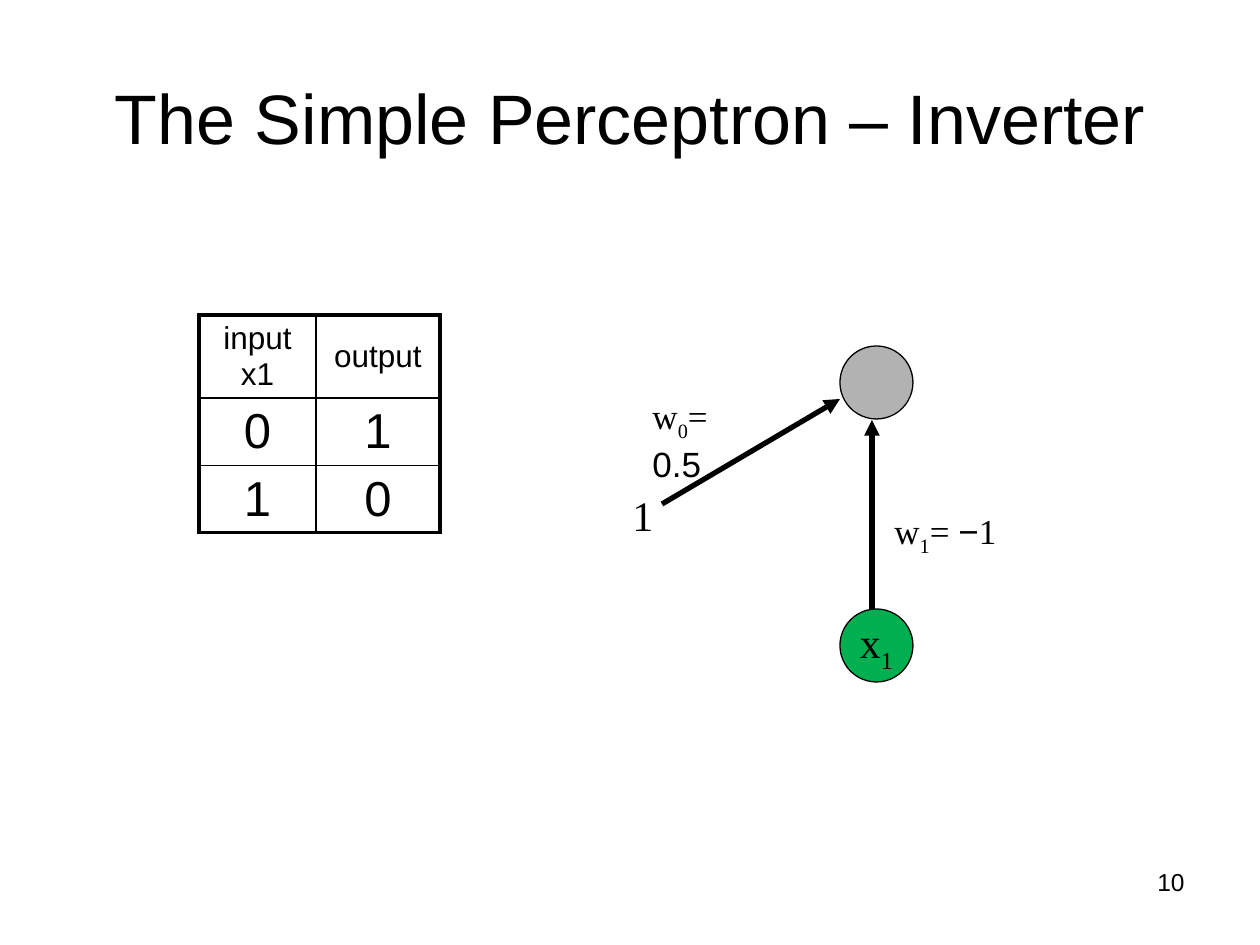
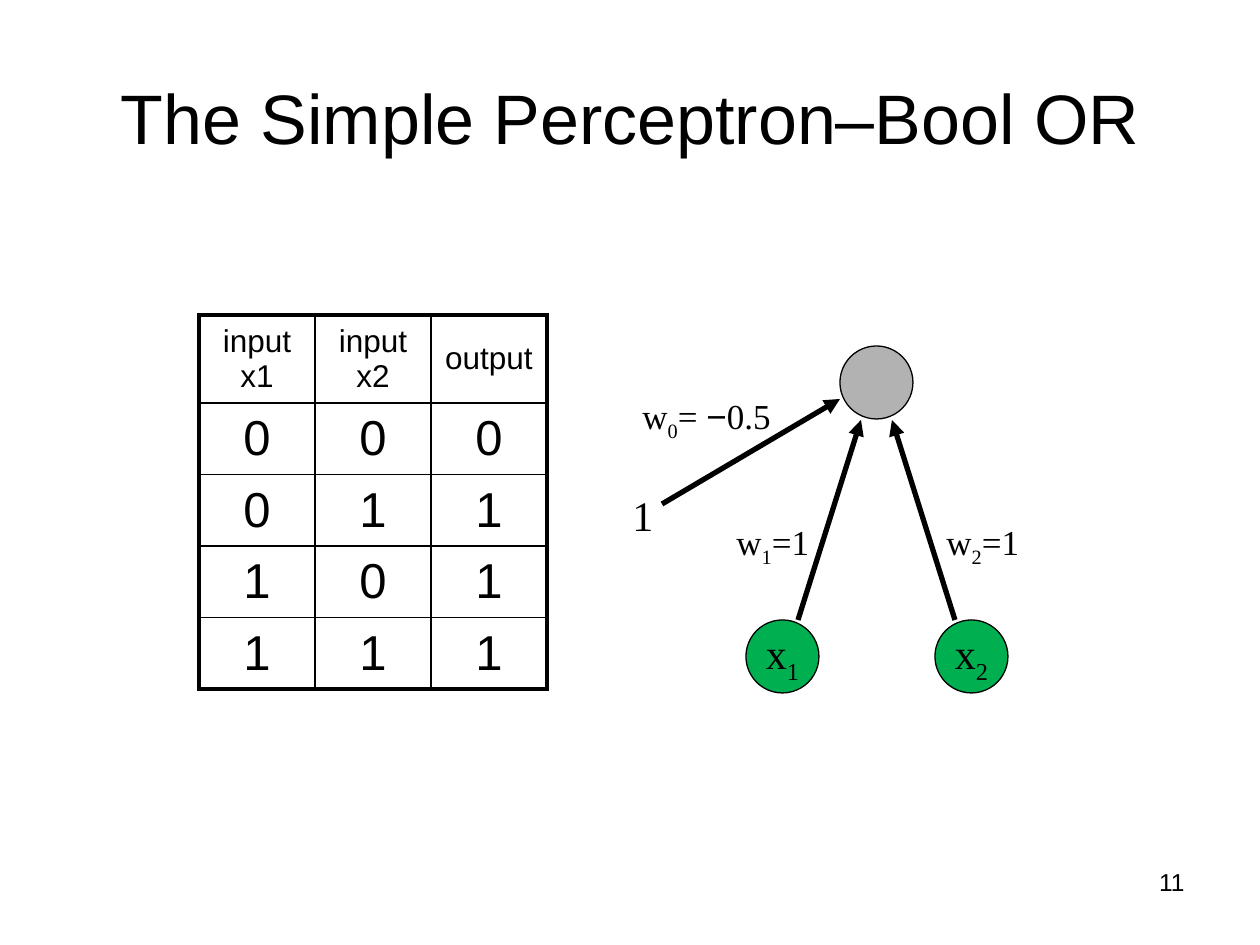
from lxml import etree
from pptx import Presentation
from pptx.dml.color import RGBColor
from pptx.enum.shapes import MSO_CONNECTOR, MSO_SHAPE
from pptx.enum.text import MSO_ANCHOR, MSO_AUTO_SIZE, PP_ALIGN
from pptx.oxml import parse_xml
from pptx.oxml.ns import nsdecls, qn
from pptx.util import Emu, Pt

PIXEL = 914400 / 126
BLACK = RGBColor(0, 0, 0)
WHITE = RGBColor(255, 255, 255)
GRAY = RGBColor(0xB2, 0xB2, 0xB2)
GREEN = RGBColor(0, 0xB0, 0x50)
LEFT, CENTER, RIGHT = PP_ALIGN.LEFT, PP_ALIGN.CENTER, PP_ALIGN.RIGHT
MIDDLE = MSO_ANCHOR.MIDDLE
OVAL = MSO_SHAPE.OVAL
STRAIGHT = MSO_CONNECTOR.STRAIGHT
NO_AUTOFIT = MSO_AUTO_SIZE.NONE
SANS, SERIF, SUB = "Arial", "Times New Roman", "subscript"
TITLE_ONLY = 5
DIAMETER = 73
OUTER_BORDER, INNER_BORDER = Pt(2.25), Pt(1)


def px(*lengths):
    return [Emu(round(length * PIXEL)) for length in lengths]


def write(frame, runs, size, alignment=LEFT):
    paragraph = frame.paragraphs[0]
    paragraph.alignment = alignment
    for text, style in runs:
        run = paragraph.add_run()
        run.text = text
        run.font.color.rgb = BLACK
        font_format = {"name": SERIF if style == SUB else style, "size": Pt(size), "bold": False}
        for name, value in font_format.items():
            setattr(run.font, name, value)
        if style == SUB:
            run._r.get_or_add_rPr().set("baseline", "-25000")


BIAS_INPUT = {"box": (620, 483, 47, 63), "size": 24, "runs": [("1", SERIF)]}
BIAS_ARROW = (662, 504, 840, 399)
OUTPUT_NODE = (840, 346, GRAY, None)

SLIDES = [
    {
        "title": "The Simple Perceptron – Inverter",
        "number": "10",
        "columns": [117, 124],
        "rows": [83, 67, 67],
        "table": [["input x1", "output"], "01", "10"],
        "nodes": [OUTPUT_NODE, (840, 609, GREEN, "1")],
        "arrows": [BIAS_ARROW, (872, 609, 872, 420)],
        "labels": [
            BIAS_INPUT,
            {"box": (882, 503, 127, 54), "size": 20,
             "runs": [("w", SERIF), ("1", SUB), ("= ", SERIF), ("−", SANS), ("1", SERIF)]},
            {"box": (640, 388, 134, 54), "size": 20, "wrap": True,
             "runs": [("w", SERIF), ("0", SUB), ("= ", SERIF), ("0.5", SANS)]},
        ],
    },
    {
        "title": "The Simple Perceptron–Bool OR",
        "number": "11",
        "columns": [116] * 3,
        "rows": [88] + [71.5] * 4,
        "table": [["input x1", "input x2", "output"], "000", "011", "101", "111"],
        "nodes": [OUTPUT_NODE, (746, 620, GREEN, "1"), (935, 620, GREEN, "2")],
        "arrows": [BIAS_ARROW, (798, 620, 861, 420), (955, 620, 892, 420)],
        "labels": [
            BIAS_INPUT,
            {"box": (724, 514, 100, 54), "size": 20,
             "runs": [("w", SERIF), ("1", SUB), ("=1", SERIF)]},
            {"box": (934, 514, 100, 54), "size": 20,
             "runs": [("w", SERIF), ("2", SUB), ("=1", SERIF)]},
            {"box": (630, 388, 154, 54), "size": 20,
             "runs": [("w", SERIF), ("0", SUB), ("= ", SERIF), ("−", SANS), ("0.5", SERIF)]},
        ],
    },
]

presentation = Presentation()
presentation.slide_width, presentation.slide_height = px(1260, 945)

for content in SLIDES:
    slide = presentation.slides.add_slide(presentation.slide_layouts[TITLE_ONLY])
    title = slide.shapes.title
    title.left, title.top, title.width, title.height = px(63, 38, 1134, 158)
    title.text_frame.auto_size = NO_AUTOFIT
    title.text_frame.vertical_anchor = MIDDLE
    write(title.text_frame, [(content["title"], SANS)], 40, CENTER)

    columns, rows = content["columns"], content["rows"]
    table_box = px(199, 315, sum(columns), sum(rows))
    table = slide.shapes.add_table(len(rows), len(columns), *table_box).table
    table.first_row = table.horz_banding = False
    for column, width in zip(table.columns, px(*columns)):
        column.width = width
    for row, height in zip(table.rows, px(*rows)):
        row.height = height
    for row_index, values in enumerate(content["table"]):
        for column_index, value in enumerate(values):
            cell = table.cell(row_index, column_index)
            cell.vertical_anchor = MIDDLE
            write(cell.text_frame, [(value, SANS)], 28 if row_index else 18, CENTER)
            on_edge = {
                "lnL": column_index == 0,
                "lnR": column_index == len(columns) - 1,
                "lnT": row_index == 0,
                "lnB": row_index == len(rows) - 1,
            }
            properties = cell._tc.get_or_add_tcPr()
            for side, outer in on_edge.items():
                width = OUTER_BORDER if outer else INNER_BORDER
                properties.append(parse_xml(
                    f'<a:{side} {nsdecls("a")} w="{width}"><a:solidFill>'
                    f'<a:srgbClr val="{BLACK}"/></a:solidFill></a:{side}>'))
            cell.fill.solid()
            cell.fill.fore_color.rgb = WHITE

    for left, top, color, subscript in content["nodes"]:
        node = slide.shapes.add_shape(OVAL, *px(left, top, DIAMETER, DIAMETER))
        node.shadow.inherit = False
        node.fill.solid()
        node.fill.fore_color.rgb = color
        node.line.color.rgb = BLACK
        node.line.width = Pt(0.75)
        if subscript:
            node.text_frame.word_wrap = False
            node.text_frame.vertical_anchor = MIDDLE
            write(node.text_frame, [("x", SERIF), (subscript, SUB)], 24, CENTER)

    for ends in content["arrows"]:
        arrow = slide.shapes.add_connector(STRAIGHT, *px(*ends))
        arrow.line.color.rgb = BLACK
        arrow.line.width = Pt(3)
        etree.SubElement(arrow.line._get_or_add_ln(), qn("a:tailEnd"), type="triangle")
        etree.SubElement(arrow._element.spPr, qn("a:effectLst"))

    number = {"box": (903, 861, 294, 66), "size": 14, "wrap": True,
              "alignment": RIGHT, "runs": [(content["number"], SANS)]}
    for label in content["labels"] + [number]:
        frame = slide.shapes.add_textbox(*px(*label["box"])).text_frame
        frame.word_wrap = label.get("wrap", False)
        write(frame, label["runs"], label["size"], label.get("alignment", LEFT))

presentation.save("out.pptx")
